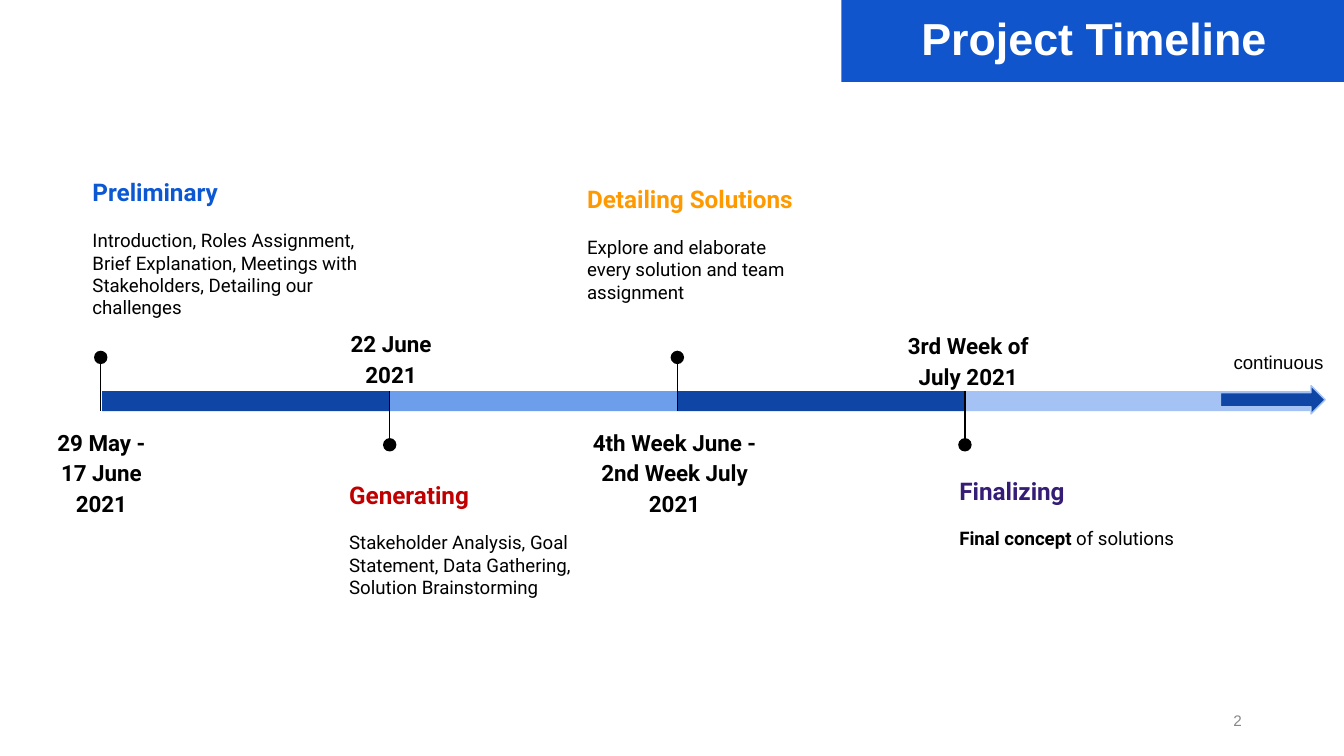
from lxml import etree
from pptx import Presentation
from pptx.dml.color import RGBColor
from pptx.enum import shapes, text
from pptx.oxml import ns
from pptx.util import Inches, Pt

BLUE = RGBColor(0x11, 0x55, 0xCC)
NAVY = RGBColor(0x0F, 0x45, 0xA5)
SKY = RGBColor(0x6D, 0x9E, 0xEB)
PALE = RGBColor(0xA4, 0xC2, 0xF4)
BLACK = RGBColor(0, 0, 0)
WHITE = RGBColor(0xFF, 0xFF, 0xFF)
GREY = RGBColor(0x88, 0x88, 0x88)
ROYAL = RGBColor(0x0C, 0x58, 0xD3)
RED = RGBColor(0xC0, 0, 0)
ORANGE = RGBColor(0xFF, 0x99, 0)
PURPLE = RGBColor(0x35, 0x1C, 0x75)

# Content: boxes are (left, top, width, height); details are (text, bold) runs
PHASES = [
    dict(name="Preliminary", color=ROYAL, bar=NAVY, pin_up=True,
         date="29 May - 17 June 2021", date_box=(0.28, 3.06, 0.95, 0.41),
         details=[("Introduction, Roles Assignment, Brief Explanation, Meetings with "
                   "Stakeholders, Detailing our challenges", False)],
         details_box=(0.59, 1.22, 2.46, 1.03)),
    dict(name="Generating", color=RED, bar=SKY, pin_up=False,
         date="22 June 2021", date_box=(2.5, 2.33, 0.82, 0.41),
         details=[("Stakeholder Analysis, Goal Statement, Data Gathering, "
                   "Solution Brainstorming", False)],
         details_box=(2.5, 3.47, 1.98, 1.03)),
    dict(name="Detailing Solutions", color=ORANGE, bar=NAVY, pin_up=True,
         date="4th Week June - 2nd Week July 2021", date_box=(4.27, 3.06, 1.5, 0.41),
         details=[("Explore and elaborate every solution and team assignment", False)],
         details_box=(4.27, 1.27, 1.75, 1.03)),
    dict(name="Finalizing", color=PURPLE, bar=PALE, pin_up=False,
         date="3rd Week of July 2021", date_box=(6.52, 2.34, 1.37, 0.41),
         details=[("Final concept ", True), ("of solutions", False)],
         details_box=(7.04, 3.44, 2.46, 1.03)),
]

BAR_LEFT, BAR_TOP, BAR_HEIGHT = 0.76, 2.91, 0.15
STEP, LAST_WIDTH = 2.14, 2.57
PIN_LENGTH, DOT = 0.4, 0.1

prs = Presentation()
prs.slide_width = Inches(10)
prs.slide_height = prs.slide_width * 9 // 16
slide = prs.slides.add_slide(prs.slide_layouts[6])


def add_block(kind, box, fill, outline=None):
    block = slide.shapes.add_shape(kind, *map(Inches, box))
    block.shadow.inherit = False
    block.fill.solid()
    block.fill.fore_color.rgb = fill
    if outline is None:
        block.line.fill.background()
    else:
        block.line.color.rgb = outline
        block.line.width = Pt(0.75)
    return block


def set_frame(shape, inset_x=0.1, inset_y=0.1, anchor=text.MSO_ANCHOR.TOP):
    frame = shape.text_frame
    frame.word_wrap = True
    frame.vertical_anchor = anchor
    frame.margin_left = frame.margin_right = Inches(inset_x)
    frame.margin_top = frame.margin_bottom = Inches(inset_y)
    return frame


def add_text_frame(box, **options):
    return set_frame(slide.shapes.add_textbox(*map(Inches, box)), **options)


def write(paragraph, runs, size, color, font="Roboto", bold=False,
          align=text.PP_ALIGN.LEFT):
    for words, run_bold in runs:
        run = paragraph.add_run()
        run.text = words
        if run_bold != bold:
            run.font.bold = run_bold
    paragraph.alignment = align
    paragraph.font.name = font
    paragraph.font.size = Pt(size)
    paragraph.font.bold = bold
    paragraph.font.color.rgb = color


def add_pin(x, up):
    start = BAR_TOP + BAR_HEIGHT - PIN_LENGTH if up else BAR_TOP
    stem = slide.shapes.add_connector(
        shapes.MSO_CONNECTOR.STRAIGHT,
        *map(Inches, (x, start, x, start + PIN_LENGTH)))
    stem.line.color.rgb = BLACK
    stem.line.width = Pt(0.75)
    etree.SubElement(stem._element.spPr, ns.qn("a:effectLst"))
    tip = start if up else start + PIN_LENGTH
    add_block(shapes.MSO_SHAPE.OVAL,
              (x - DOT / 2, tip - DOT / 2, DOT, DOT), BLACK)


# Title banner
banner = add_block(shapes.MSO_SHAPE.RECTANGLE, (6.26, 0, 3.76, 0.61), BLUE)
title = set_frame(banner, 0.07, 0.04, text.MSO_ANCHOR.MIDDLE).paragraphs[0]
write(title, [("Project Timeline", True)], 24, WHITE, "Arial", True,
      text.PP_ALIGN.CENTER)
title.line_spacing = 0.9

# Page number
page = add_text_frame((7.06, 5.21, 2.25, 0.3), inset_x=0.07, inset_y=0.04,
                      anchor=text.MSO_ANCHOR.MIDDLE)
write(page.paragraphs[0], [("2", False)], 8.2, GREY, "Arial",
      align=text.PP_ALIGN.RIGHT)

# Timeline bars
for i, phase in enumerate(PHASES):
    width = LAST_WIDTH if i == len(PHASES) - 1 else STEP
    add_block(shapes.MSO_SHAPE.RECTANGLE,
              (BAR_LEFT + i * STEP, BAR_TOP, width, BAR_HEIGHT), phase["bar"])

# Pins, dates and details
for i, phase in enumerate(PHASES):
    add_pin(BAR_LEFT + i * STEP - (0.01 if i == 0 else 0), phase["pin_up"])

    date = add_text_frame(phase["date_box"]).paragraphs[0]
    write(date, [(phase["date"], True)], 12, BLACK, bold=True,
          align=text.PP_ALIGN.CENTER)
    date.line_spacing = 1.15

    details = add_text_frame(phase["details_box"])
    heading = details.paragraphs[0]
    write(heading, [(phase["name"], True)], 13, phase["color"], bold=True)
    heading.space_after = Pt(12)
    write(details.add_paragraph(), phase["details"], 10, BLACK)

# Continuation arrow
add_block(shapes.MSO_SHAPE.RIGHT_ARROW, (9.08, 2.87, 0.78, 0.21), NAVY, PALE)
label = add_text_frame((9.08, 2.53, 1.19, 0.37))
write(label.paragraphs[0], [("continuous", False)], 10, BLACK, "Arial")

prs.save("out.pptx")
